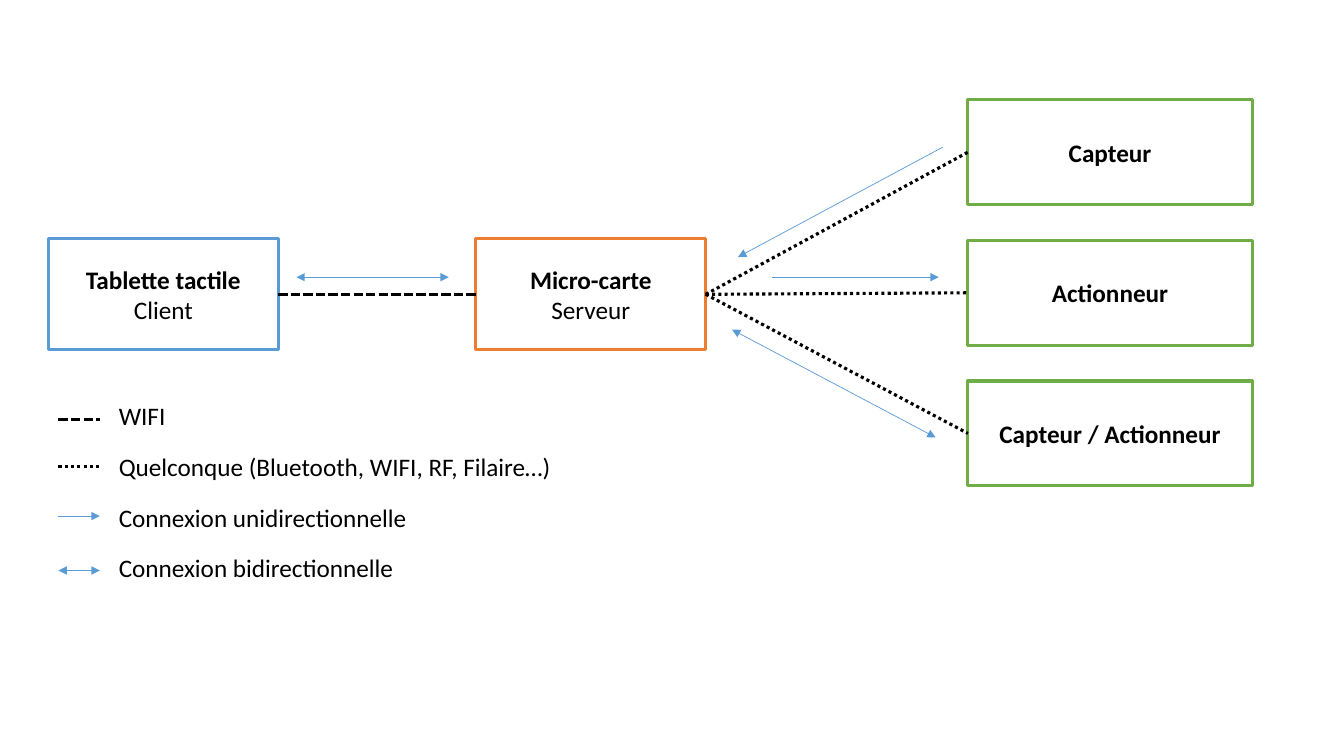
"""Build the slide showing how the tablet, the server and the devices connect."""
from dataclasses import dataclass
from typing import Optional

import pptx
import pptx.dml.color
import pptx.enum.dml
import pptx.enum.shapes
import pptx.enum.text
import pptx.oxml
import pptx.oxml.ns
import pptx.util
from pptx.util import Inches

Color = pptx.dml.color.RGBColor
Dash = pptx.enum.dml.MSO_LINE
LEFT_SITE, RIGHT_SITE = 1, 3


@dataclass(frozen=True)
class Theme:
    """Colours, font and sizes used on the slide."""
    font: str = "Calibri"
    text_size: pptx.util.Length = pptx.util.Pt(18)
    link_width: pptx.util.Length = pptx.util.Pt(2.25)
    arrow_width: pptx.util.Length = pptx.util.Pt(0.5)
    black: Color = Color.from_string("000000")
    white: Color = Color.from_string("FFFFFF")
    blue: Color = Color.from_string("5B9BD5")
    orange: Color = Color.from_string("ED7D31")
    green: Color = Color.from_string("70AD47")


THEME = Theme()


@dataclass(frozen=True)
class LineStyle:
    """Look of a line: colour, width, dash and arrowheads."""
    color: Color
    width: pptx.util.Length
    dash: Optional[Dash] = None
    ends: tuple[str, ...] = ()


WIFI = LineStyle(THEME.black, THEME.link_width, Dash.SQUARE_DOT)
ANY_LINK = LineStyle(THEME.black, THEME.link_width, Dash.ROUND_DOT)
ONE_WAY = LineStyle(THEME.blue, THEME.arrow_width, ends=("tailEnd",))
TWO_WAY = LineStyle(THEME.blue, THEME.arrow_width, ends=("headEnd", "tailEnd"))


@dataclass(frozen=True)
class Node:
    """A box of the diagram, with a bold name and an optional role."""
    name: str
    left: float
    top: float
    width: float
    height: float
    color: Color
    role: str = ""


@dataclass(frozen=True)
class Arrow:
    """A free line between two points, in inches."""
    start: tuple[float, float]
    end: tuple[float, float]
    style: LineStyle


@dataclass(frozen=True)
class LegendEntry:
    """A legend label with the height of its sample line."""
    label: str
    line_y: float
    style: LineStyle


TABLET = Node("Tablette tactile", 0.48, 2.37, 2.28, 1.1, THEME.blue, "Client")
SERVER = Node("Micro-carte", 4.72, 2.37, 2.28, 1.1, THEME.orange, "Serveur")
DEVICES = [
    Node(name, 9.6, 0.99 + 1.395 * row, 2.82, 1.04, THEME.green)
    for row, name in enumerate(("Capteur", "Actionneur", "Capteur / Actionneur"))
]
ARROWS = [
    Arrow((2.94, 2.75), (4.45, 2.75), TWO_WAY),
    Arrow((9.35, 1.46), (7.32, 2.55), ONE_WAY),
    Arrow((7.66, 2.75), (9.31, 2.75), ONE_WAY),
    Arrow((7.26, 3.27), (9.28, 4.34), TWO_WAY),
]
LEGEND = [
    LegendEntry("WIFI", 4.16, WIFI),
    LegendEntry("Quelconque (Bluetooth, WIFI, RF, Filaire…)", 4.63, ANY_LINK),
    LegendEntry("Connexion unidirectionnelle", 5.12, ONE_WAY),
    LegendEntry("Connexion bidirectionnelle", 5.66, TWO_WAY),
]
LEGEND_TOP, LEGEND_PITCH = 3.92, 0.505


def add_run(paragraph, text: str, bold: bool = False) -> None:
    """Add one run in the slide's text style."""
    run = paragraph.add_run()
    run.text = text
    run.font.name = THEME.font
    run.font.size = THEME.text_size
    run.font.bold = bold
    run.font.color.rgb = THEME.black


def add_node(slide, node: Node):
    """Draw an outlined box with centred text and return it."""
    shape = slide.shapes.add_shape(
        pptx.enum.shapes.MSO_SHAPE.RECTANGLE,
        Inches(node.left), Inches(node.top), Inches(node.width), Inches(node.height))
    shape.shadow.inherit = False
    shape.fill.solid()
    shape.fill.fore_color.rgb = THEME.white
    shape.line.color.rgb = node.color
    shape.line.width = THEME.link_width
    frame = shape.text_frame
    frame.word_wrap = True
    frame.vertical_anchor = pptx.enum.text.MSO_ANCHOR.MIDDLE
    add_run(frame.paragraphs[0], node.name, bold=True)
    if node.role:
        add_run(frame.add_paragraph(), node.role)
    for paragraph in frame.paragraphs:
        paragraph.alignment = pptx.enum.text.PP_ALIGN.CENTER
    return shape


def add_line(slide, start: tuple[float, float], end: tuple[float, float],
             style: LineStyle):
    """Draw a straight connector in the given style and return it."""
    connector = slide.shapes.add_connector(
        pptx.enum.shapes.MSO_CONNECTOR.STRAIGHT,
        *(Inches(value) for value in start + end))
    connector.line.color.rgb = style.color
    connector.line.width = style.width
    if style.dash is not None:
        connector.line.dash_style = style.dash
    outline = connector.line._get_or_add_ln()
    for end_name in style.ends:
        arrowhead = pptx.oxml.ns.qn(f"a:{end_name}")
        outline.append(outline.makeelement(arrowhead, {"type": "triangle"}))
    properties = connector._element.spPr
    properties.append(properties.makeelement(pptx.oxml.ns.qn("a:effectLst"), {}))
    return connector


def link_nodes(slide, source, target, style: LineStyle) -> None:
    """Join the right side of one box to the left side of another."""
    connector = add_line(slide, (0, 0), (1, 1), style)
    connector.begin_connect(source, RIGHT_SITE)
    connector.end_connect(target, LEFT_SITE)


def add_legend_entry(slide, entry: LegendEntry, row: int) -> None:
    """Draw a sample line and its label."""
    add_line(slide, (0.58, entry.line_y), (0.99, entry.line_y), entry.style)
    box = slide.shapes.add_textbox(
        Inches(1.08), Inches(LEGEND_TOP + LEGEND_PITCH * row), Inches(4.53), Inches(0.4))
    box.text_frame.word_wrap = True
    add_run(box.text_frame.paragraphs[0], entry.label)


def main() -> None:
    """Build and save the presentation."""
    presentation = pptx.Presentation()
    presentation.slide_width = Inches(13.33)
    presentation.slide_height = Inches(7.5)
    slide = presentation.slides.add_slide(presentation.slide_layouts.get_by_name("Blank"))

    tablet, server = add_node(slide, TABLET), add_node(slide, SERVER)
    link_nodes(slide, tablet, server, WIFI)
    for device in DEVICES:
        link_nodes(slide, server, add_node(slide, device), ANY_LINK)
    for arrow in ARROWS:
        add_line(slide, arrow.start, arrow.end, arrow.style)
    for row, entry in enumerate(LEGEND):
        add_legend_entry(slide, entry, row)
    presentation.save("out.pptx")


main()
